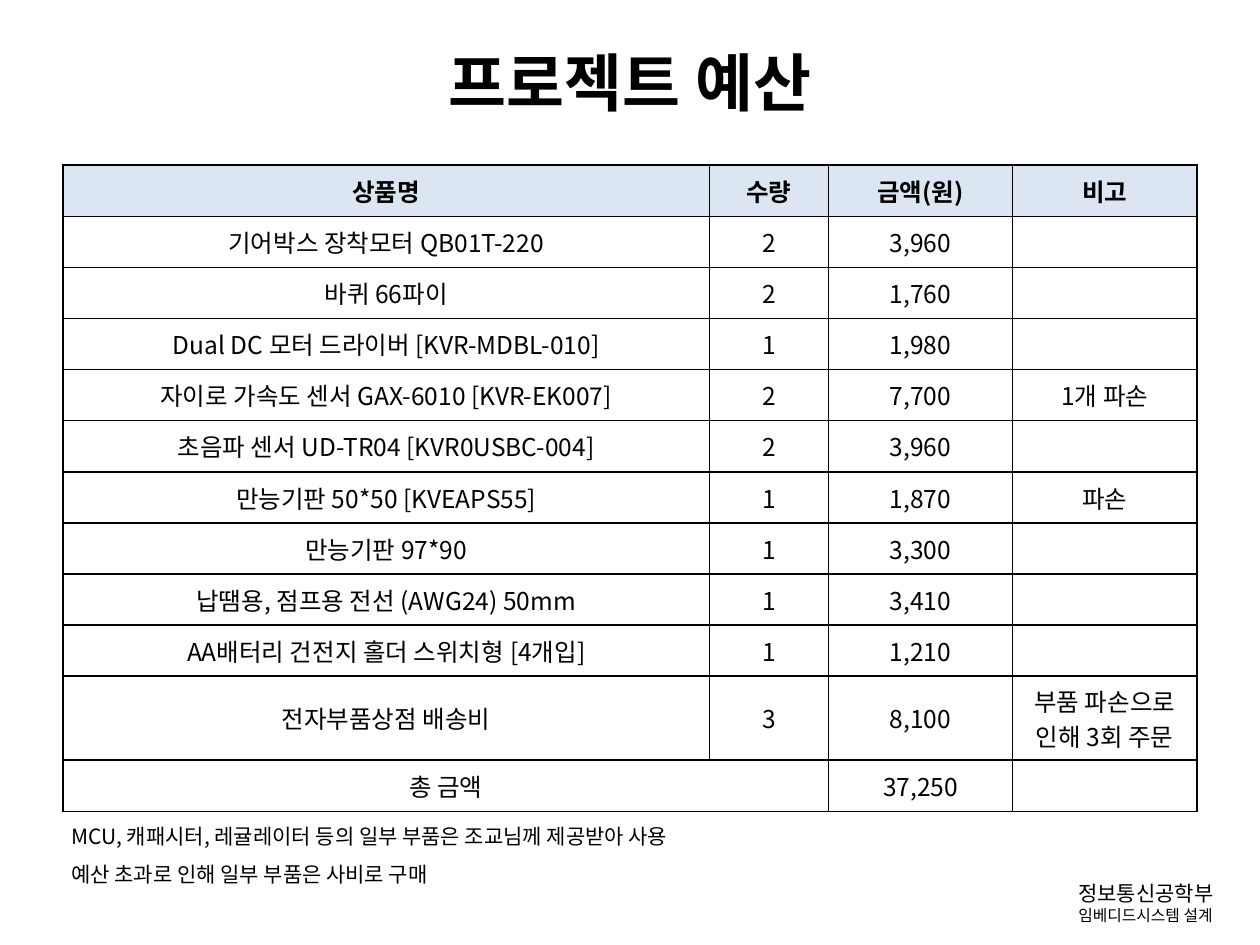
import pptx
import pptx.util
import pptx.dml.color
import pptx.enum.text
import pptx.oxml.ns
from dataclasses import dataclass
from lxml import etree

Cm, Pt = pptx.util.Cm, pptx.util.Pt
RGB = pptx.dml.color.RGBColor.from_string
Align = pptx.enum.text.PP_ALIGN
Mid = pptx.enum.text.MSO_ANCHOR.MIDDLE
qn = pptx.oxml.ns.qn


@dataclass(frozen=True)
class Theme:
    font: str = "Noto Sans CJK KR"
    ink: str = "000000"
    head: str = "DCE6F2"
    paper: str = "FFFFFF"
    title: int = 36
    cell: int = 14
    note: int = 12
    small: int = 9
    line: int = 1


theme = Theme()

HEADS = ["상품명", "수량", "금액(원)", "비고"]
ITEMS = [
    ["기어박스 장착모터 QB01T-220", "2", "3,960", ""],
    ["바퀴 66파이", "2", "1,760", ""],
    ["Dual DC 모터 드라이버 [KVR-MDBL-010]", "1", "1,980", ""],
    ["자이로 가속도 센서 GAX-6010 [KVR-EK007]", "2", "7,700", "1개 파손"],
    ["초음파 센서 UD-TR04 [KVR0USBC-004]", "2", "3,960", ""],
    ["만능기판 50*50 [KVEAPS55]", "1", "1,870", "파손"],
    ["만능기판 97*90", "1", "3,300", ""],
    ["납땜용, 점프용 전선 (AWG24) 50mm", "1", "3,410", ""],
    ["AA배터리 건전지 홀더 스위치형 [4개입]", "1", "1,210", ""],
    ["전자부품상점 배송비", "3", "8,100", "부품 파손으로 인해 3회 주문"],
]
TOTAL = ["총 금액", "", "37,250", ""]
NOTES = [
    "MCU, 캐패시터, 레귤레이터 등의 일부 부품은 조교님께 제공받아 사용",
    "예산 초과로 인해 일부 부품은 사비로 구매",
]
CREDIT = [("정보통신공학부", theme.note), ("임베디드시스템 설계", theme.small)]


def write(para, text, size, bold=False, **form):
    """Put one run of text in a paragraph, with its format."""
    for key, val in form.items():
        setattr(para, key, val)
    if not text:
        # an empty cell still needs its type size, or the row grows
        etree.SubElement(para._p, qn("a:endParaRPr"), sz=str(size * 100))
        return
    run = para.add_run()
    run.text = text
    look = {"size": Pt(size), "bold": bold, "name": theme.font}
    for key, val in look.items():
        setattr(run.font, key, val)
    run.font.color.rgb = RGB(theme.ink)
    etree.SubElement(run._r.get_or_add_rPr(), qn("a:ea"), typeface=theme.font)


def edge(cell):
    """Draw the four borders of a cell, ahead of its fill."""
    props = cell._tc.get_or_add_tcPr()
    for spot, side in enumerate(("lnL", "lnR", "lnT", "lnB")):
        line = etree.Element(qn("a:" + side), w=str(Pt(theme.line)))
        fill = etree.SubElement(line, qn("a:solidFill"))
        etree.SubElement(fill, qn("a:srgbClr"), val=theme.ink)
        props.insert(spot, line)


def title(slide, box, text):
    shape = slide.shapes.title
    for key, val in zip(("left", "top", "width", "height"), box):
        setattr(shape, key, val)
    shape.text_frame.vertical_anchor = Mid
    write(shape.text_frame.paragraphs[0], text, theme.title, True,
          alignment=Align.CENTER)


def budget(slide, box):
    rows = [HEADS, *ITEMS, TOTAL]
    grid = slide.shapes.add_table(len(rows), len(HEADS), *box).table
    # column widths are shares of the box
    for col, part in zip(grid.columns, (0.57, 0.105, 0.1625, 0.1625)):
        col.width = int(box[2] * part)
    # the delivery row holds two lines of text
    for row in grid.rows:
        row.height = Cm(1.03)
    grid.rows[len(ITEMS)].height = Cm(1.69)
    for r, row in enumerate(rows):
        for c, text in enumerate(row):
            cell = grid.cell(r, c)
            cell.vertical_anchor = Mid
            cell.fill.solid()
            cell.fill.fore_color.rgb = RGB(theme.paper if r else theme.head)
            write(cell.text_frame.paragraphs[0], text, theme.cell, r == 0,
                  alignment=Align.CENTER)
            edge(cell)
    # the total spans name and count
    last = len(rows) - 1
    grid.cell(last, 0).merge(grid.cell(last, 1))


def label(slide, box, lines, wrap=True, **form):
    """Place a text box with one paragraph for each (text, size)."""
    frame = slide.shapes.add_textbox(*box).text_frame
    frame.word_wrap = wrap
    for n, (text, size) in enumerate(lines):
        para = frame.add_paragraph() if n else frame.paragraphs[0]
        write(para, text, size, **form)


def main():
    deck = pptx.Presentation()
    deck.slide_width, deck.slide_height = Cm(25.4), Cm(19.05)
    slide = deck.slides.add_slide(deck.slide_layouts[5])
    left, wide = Cm(1.27), Cm(22.86)
    title(slide, (left, Cm(0.76), wide, Cm(1.75)), "프로젝트 예산")
    budget(slide, (left, Cm(3.33), wide, Cm(13.02)))
    # remarks under the table
    label(slide, (Cm(1.19), Cm(16.23), Cm(14), Cm(1.7)),
          [(text, theme.note) for text in NOTES], False, line_spacing=1.5)
    # department in the corner
    label(slide, (Cm(21.49), Cm(17.63), Cm(3.91), Cm(1.14)), CREDIT)
    deck.save("out.pptx")


if __name__ == "__main__":
    main()
